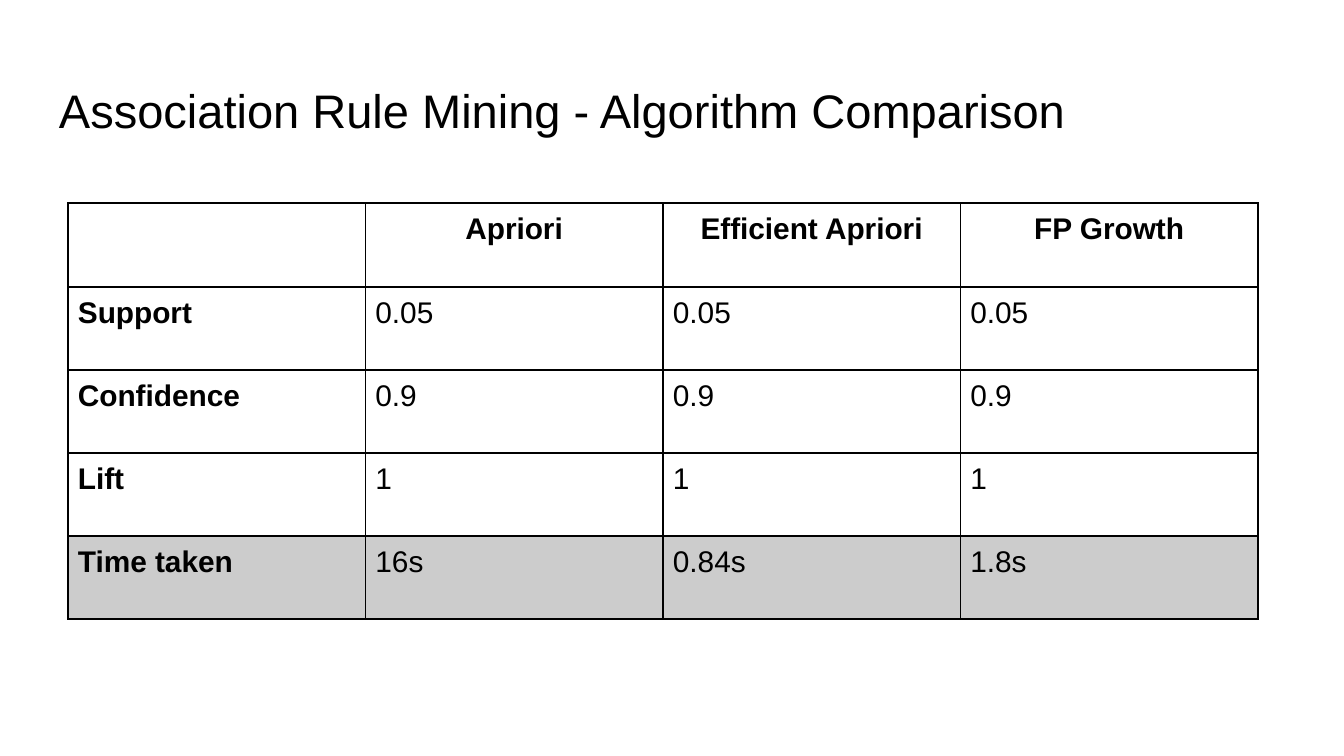
from pptx import Presentation
from pptx import util as u
from pptx.dml.color import RGBColor
from pptx.enum import text
from pptx.oxml import parse_xml
from pptx.oxml.ns import nsdecls

PX = 914400 / 134.4
BLACK = RGBColor(0x00, 0x00, 0x00)
GREY = RGBColor(0xCC, 0xCC, 0xCC)
FONT = "Arial"

COMPARISON = [
    ["", "Apriori", "Efficient Apriori", "FP Growth"],
    ["Support", "0.05", "0.05", "0.05"],
    ["Confidence", "0.9", "0.9", "0.9"],
    ["Lift", "1", "1", "1"],
    ["Time taken", "16s", "0.84s", "1.8s"],
]


def px(length):
    return u.Emu(round(length * PX))


def set_margins(target, margin):
    target.margin_left = target.margin_right = px(margin)
    target.margin_top = target.margin_bottom = px(margin)


def style_text(para, size, bold=False):
    for span in para.runs:
        span.font.name = FONT
        span.font.size = u.Pt(size)
        span.font.bold = bold
        span.font.color.rgb = BLACK


def add_title(page, wording):
    title = page.shapes.title
    title.left, title.top, title.width, title.height = map(px, (46, 66, 1252, 85))
    frame = title.text_frame
    frame.text = wording
    frame.word_wrap = True
    frame.auto_size = text.MSO_AUTO_SIZE.NONE
    frame.vertical_anchor = text.MSO_ANCHOR.BOTTOM
    set_margins(frame, 13)
    para = frame.paragraphs[0]
    para.alignment = text.PP_ALIGN.LEFT
    style_text(para, 25.2)


def add_borders(cell):
    properties = cell._tc.get_or_add_tcPr()
    for position, side in enumerate(("lnL", "lnR", "lnT", "lnB")):
        properties.insert(position, parse_xml(
            f'<a:{side} {nsdecls("a")} w="{u.Pt(1)}"><a:solidFill>'
            f'<a:srgbClr val="{BLACK}"/></a:solidFill></a:{side}>'))


def fill_cell(cell, wording, header, label, highlighted):
    cell.text = wording
    set_margins(cell, 10)
    para = cell.text_frame.paragraphs[0]
    para.alignment = text.PP_ALIGN.CENTER if header else text.PP_ALIGN.LEFT
    style_text(para, 16, bold=header or label)
    if highlighted:
        cell.fill.solid()
        cell.fill.fore_color.rgb = GREY
    else:
        cell.fill.background()
    add_borders(cell)


def add_comparison_table(page, rows):
    frame = page.shapes.add_table(len(rows), len(rows[0]),
                                  px(68), px(203), px(1190), px(416))
    table = frame.table
    table.first_row = table.horz_banding = False
    for index, row in enumerate(rows):
        table.rows[index].height = px(84 if index == 0 else 83)
        for column, wording in enumerate(row):
            fill_cell(table.cell(index, column), wording,
                      header=index == 0, label=column == 0,
                      highlighted=index == len(rows) - 1)


def main():
    deck = Presentation()
    deck.slide_width, deck.slide_height = px(1344), px(756)
    page = deck.slides.add_slide(deck.slide_layouts[5])

    # Heading
    add_title(page, "Association Rule Mining - Algorithm Comparison")

    # Algorithm measures, with the time row highlighted
    add_comparison_table(page, COMPARISON)

    deck.save("out.pptx")


if __name__ == "__main__":
    main()
